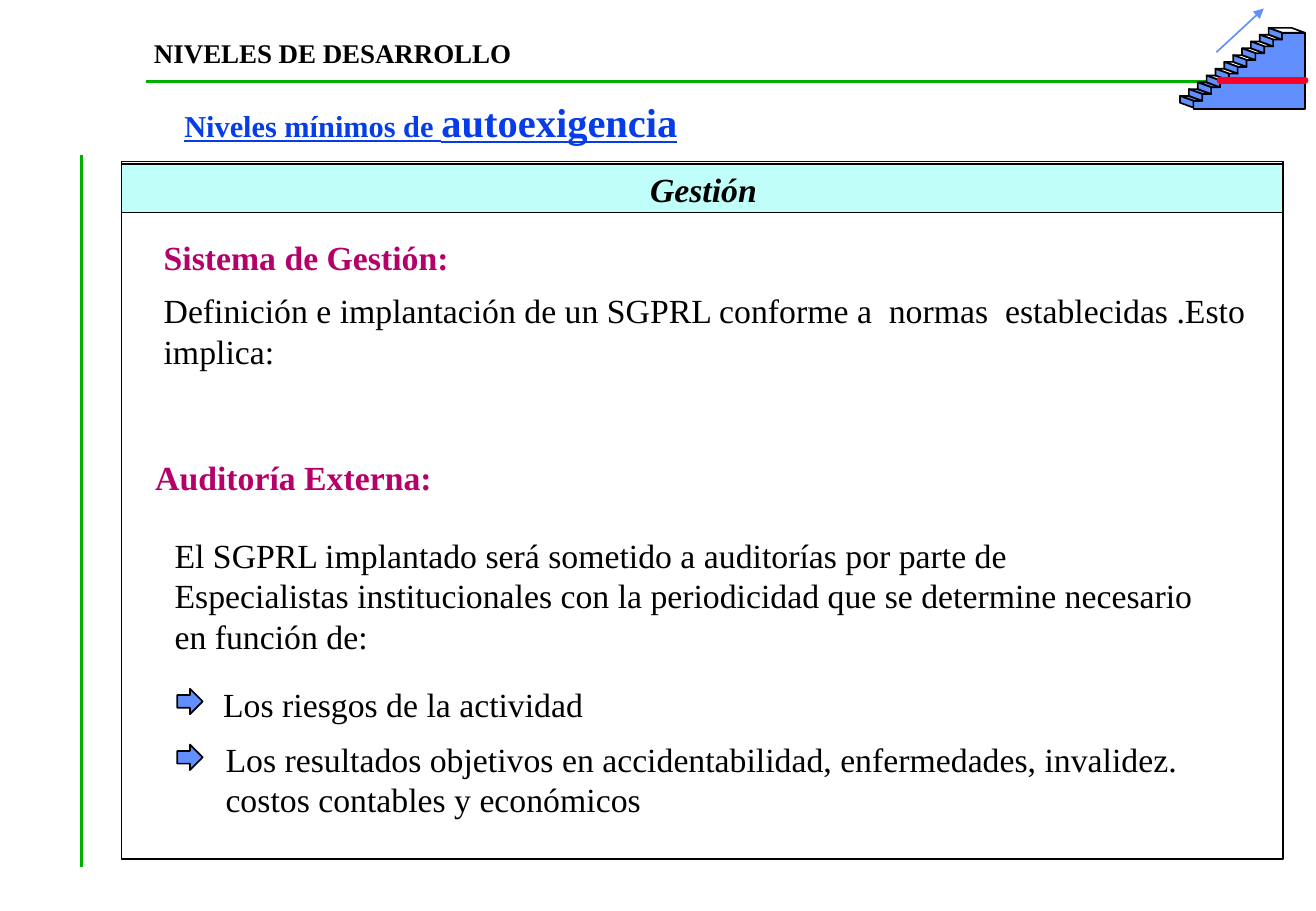
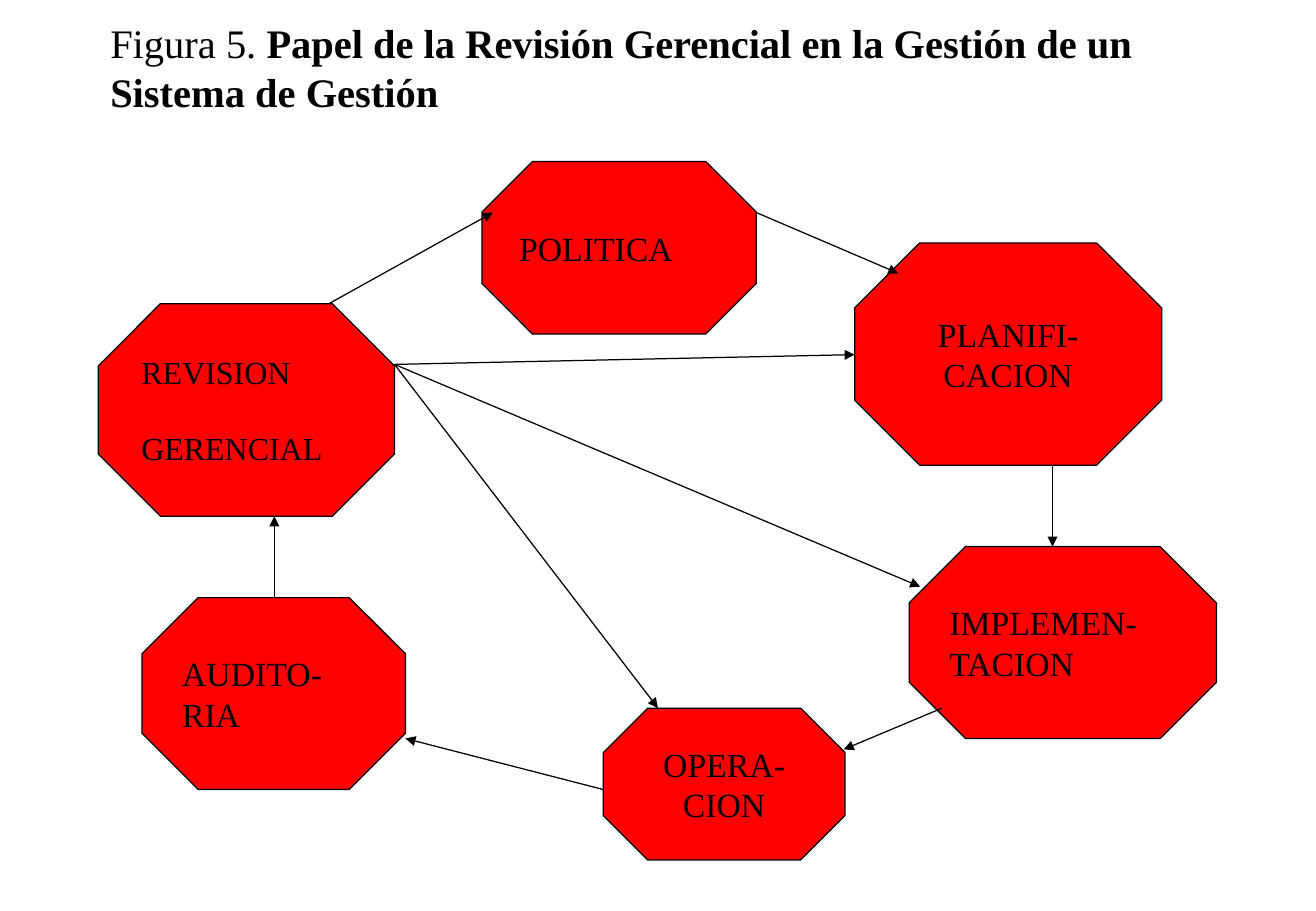
from lxml import etree
from pptx import Presentation
from pptx.dml.color import RGBColor
from pptx.enum.shapes import MSO_CONNECTOR, MSO_SHAPE
from pptx.enum.text import MSO_ANCHOR, PP_ALIGN
from pptx.oxml.ns import qn
from pptx.util import Inches, Pt

RECTANGLE = MSO_SHAPE.RECTANGLE
OCTAGON = MSO_SHAPE.OCTAGON
RIGHT_ARROW = MSO_SHAPE.RIGHT_ARROW
STRAIGHT = MSO_CONNECTOR.STRAIGHT
MIDDLE = MSO_ANCHOR.MIDDLE
LEFT, CENTER = PP_ALIGN.LEFT, PP_ALIGN.CENTER

FONT = "Times New Roman"
COLORS = {
    "black": "000000",
    "white": "FFFFFF",
    "green": "00AE00",
    "aqua": "C0FEF9",
    "sky": "618FFD",
    "blue": "063DE8",
    "magenta": "B50069",
    "red": "FF0000",
    "crimson": "FC0128",
}


def rgb(name):
    return RGBColor.from_string(COLORS[name])


class SlideMaker:
    """Holds the shared style and the slide being filled."""

    def __init__(self, deck):
        self.deck = deck
        self.page = None

    def new_page(self):
        self.page = self.deck.slides.add_slide(self.deck.slide_layouts[6])

    def paint(self, shape, fill, width):
        shape.shadow.inherit = False
        shape.fill.solid()
        shape.fill.fore_color.rgb = rgb(fill)
        shape.line.color.rgb = rgb("black")
        shape.line.width = Pt(width)

    def fill_text(self, frame, paragraphs, size=20, color="black", bold=False,
                  italic=False, underline=False, align=LEFT, gap=0):
        """Each paragraph is a string or a list of (text, size, bold) spans."""
        frame.word_wrap = True
        for index, content in enumerate(paragraphs):
            para = frame.paragraphs[0] if index == 0 else frame.add_paragraph()
            para.alignment = align
            if index and gap:
                para.space_before = Pt(gap)
            if isinstance(content, str):
                content = [(content, size, bold)]
            for text, span_size, span_bold in content:
                span = para.add_run()
                span.text = text
                span.font.name = FONT
                span.font.size = Pt(span_size)
                span.font.bold = span_bold
                span.font.italic = italic
                span.font.underline = underline
                span.font.color.rgb = rgb(color)

    def text(self, left, top, width, height, paragraphs, **style):
        box = self.page.shapes.add_textbox(
            Inches(left), Inches(top), Inches(width), Inches(height))
        self.fill_text(box.text_frame, paragraphs, **style)

    def shape(self, kind, left, top, width, height, fill, line_width=1):
        shape = self.page.shapes.add_shape(
            kind, Inches(left), Inches(top), Inches(width), Inches(height))
        self.paint(shape, fill, line_width)
        return shape

    def octagon(self, left, top, width, height, paragraphs, **style):
        shape = self.shape(OCTAGON, left, top, width, height, "red", 0.75)
        shape.text_frame.vertical_anchor = MIDDLE
        self.fill_text(shape.text_frame, paragraphs, **style)

    def outline(self, points, fill):
        corners = [(Inches(x), Inches(y)) for x, y in points]
        builder = self.page.shapes.build_freeform(*corners[0])
        builder.add_line_segments(corners[1:], close=True)
        self.paint(builder.convert_to_shape(), fill, 1)

    def line(self, start, end, color="black", width=0.75, arrow=False,
             round_cap=False):
        line = self.page.shapes.add_connector(
            STRAIGHT, *(Inches(value) for value in (*start, *end)))
        line.line.color.rgb = rgb(color)
        line.line.width = Pt(width)
        properties = line._element.spPr
        stroke = properties.find(qn("a:ln"))
        if round_cap:
            stroke.set("cap", "rnd")
        if arrow:
            etree.SubElement(stroke, qn("a:tailEnd"), type="triangle")
        etree.SubElement(properties, qn("a:effectLst"))

    def staircase(self):
        count, run, rise = 11, 0.73 / 10, 0.56 / 10
        depth, slant = 0.11, 0.04
        steps = [(9.72 + run * i, 0.79 - rise * i) for i in range(count)]
        right, bottom = 10.75, 0.9

        # Front face
        profile = [(right, bottom), (9.83, bottom)]
        for x, y in steps:
            front = x + depth
            profile += [(front, y + slant), (front + run, y + slant)]
        profile[-1] = (right, 0.27)
        self.outline(profile, "sky")

        # Treads, from the top down; the top one is wider
        for i in reversed(range(count)):
            x, y = steps[i]
            width = 0.19 if i == count - 1 else run
            self.outline([(x, y), (x + width, y),
                          (x + width + depth, y + slant),
                          (x + depth, y + slant)],
                         "white" if i > 2 else "sky")

        # Risers
        for x, y in steps:
            self.outline([(x, y), (x, y + rise), (x + depth, y + rise + slant),
                          (x + depth, y + slant)], "sky")

        # Rising arrow and level mark
        self.line((10.02, 0.43), (10.41, 0.07), "sky", 1, arrow=True)
        self.line((10.05, 0.66), (10.75, 0.66), "crimson", 4, round_cap=True)


def management_page(maker):
    maker.new_page()

    # Panel, rules and staircase
    maker.shape(RECTANGLE, 1, 1.33, 9.57, 5.74, "white")
    maker.shape(RECTANGLE, 1, 1.35, 9.57, 0.4, "aqua")
    maker.line((1.2, 0.67), (10.56, 0.67), "green", 2)
    maker.line((0.67, 1.28), (0.67, 7.14), "green", 2)
    maker.staircase()

    # Headings
    maker.text(1.17, 0.25, 3.58, 0.36, ["NIVELES DE DESARROLLO"],
               size=16, bold=True)
    maker.text(1.42, 0.75, 8.83, 0.5,
               [[("Niveles mínimos de ", 18, True), ("autoexigencia", 24, True)]],
               color="blue", underline=True)
    maker.text(4.19, 1.34, 3.21, 0.43, ["Gestión"],
               bold=True, italic=True, align=CENTER)
    for left, top, heading in [(1.25, 1.9, "Sistema de Gestión:"),
                               (1.18, 3.71, "Auditoría Externa:")]:
        maker.text(left, top, 3, 0.43, [heading], color="magenta", bold=True)

    # Body text
    maker.text(1.25, 2.34, 9.16, 0.76, [
        "Definición e implantación de un SGPRL conforme a  normas  "
        "establecidas .Esto implica:"])
    maker.text(1.34, 4.35, 9, 1.1, [
        "El SGPRL implantado será sometido a auditorías por parte de",
        "Especialistas institucionales con la periodicidad que se determine "
        "necesario",
        "en función de:"])

    # Criteria marked by arrows
    maker.text(1.74, 5.58, 4, 0.43, ["Los riesgos de la actividad"])
    maker.text(1.76, 6.03, 8.5, 0.76, [
        "Los resultados objetivos en accidentabilidad, enfermedades, invalidez.",
        "costos contables y económicos"])
    for top in (5.67, 6.13):
        maker.shape(RIGHT_ARROW, 1.46, top, 0.21, 0.21, "sky")


def review_cycle_page(maker):
    maker.new_page()
    maker.line((8.67, 3.75), (8.67, 4.5), arrow=True)
    maker.text(0.81, 0.1, 9.75, 0.9, [
        [("Figura 5. ", 24, False),
         ("Papel de la Revisión Gerencial en la Gestión de un", 24, True)],
        [("Sistema de Gestión", 24, True)]])

    # Stages
    maker.octagon(3.97, 1.33, 2.26, 1.42, ["POLITICA"])
    maker.octagon(0.81, 2.5, 2.44, 1.75, ["REVISION", "GERENCIAL"],
                  size=19, gap=22)
    maker.octagon(1.17, 4.92, 2.17, 1.58, ["AUDITO-RIA"])
    maker.octagon(4.97, 5.83, 1.99, 1.25, ["OPERA-CION"], align=CENTER)
    maker.octagon(7.49, 4.5, 2.53, 1.58, ["IMPLEMEN-TACION"])
    maker.octagon(7.04, 2, 2.53, 1.83, ["PLANIFI-CACION"], align=CENTER)

    # Cycle arrows, then those leaving the review
    review = (3.25, 3)
    for start, end in [
        ((2.71, 2.5), (4.06, 1.75)),
        ((6.23, 1.75), (7.4, 2.25)),
        ((7.76, 5.83), (6.95, 6.17)),
        ((4.97, 6.5), (3.34, 6.08)),
        ((2.26, 4.92), (2.26, 4.25)),
        (review, (5.42, 5.83)),
        (review, (7.58, 4.83)),
        (review, (7.04, 2.92)),
    ]:
        maker.line(start, end, arrow=True)


def main():
    deck = Presentation()
    deck.slide_width, deck.slide_height = Inches(10.84), Inches(7.5)
    maker = SlideMaker(deck)
    management_page(maker)
    review_cycle_page(maker)
    deck.save("out.pptx")


if __name__ == "__main__":
    main()
